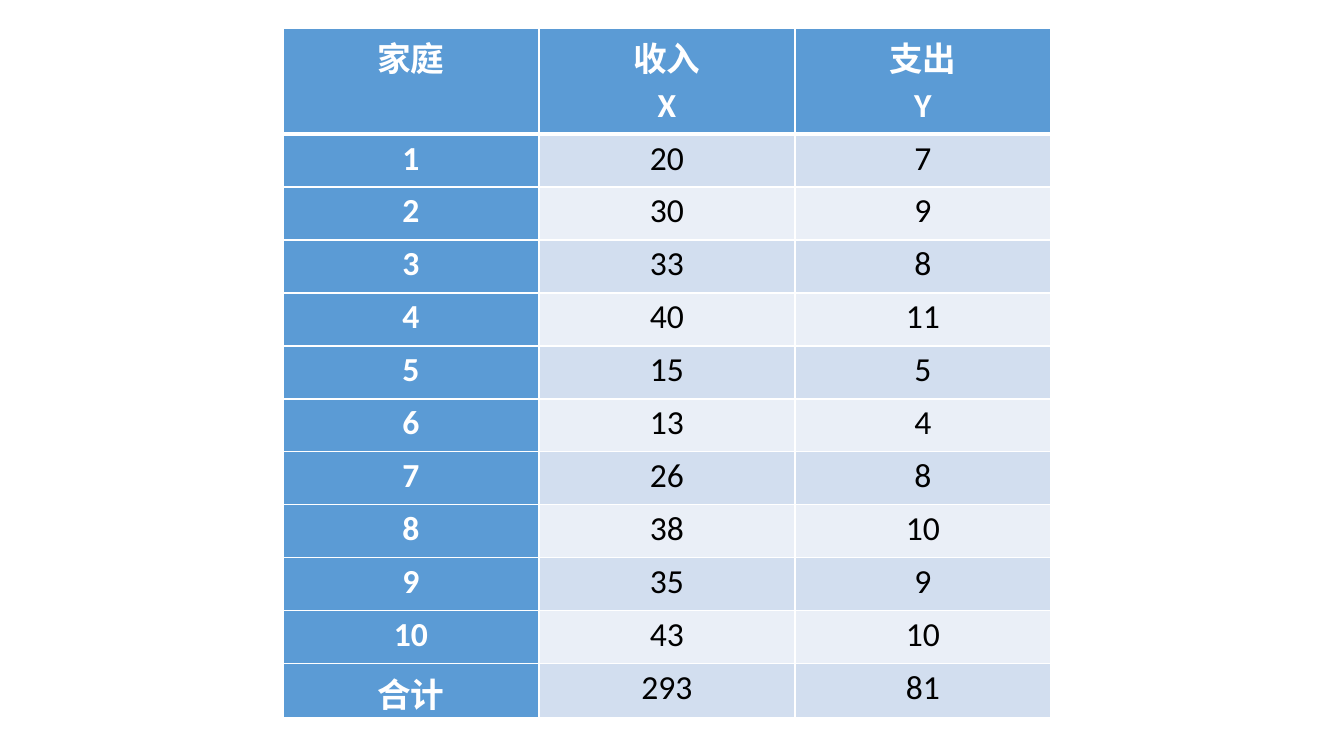
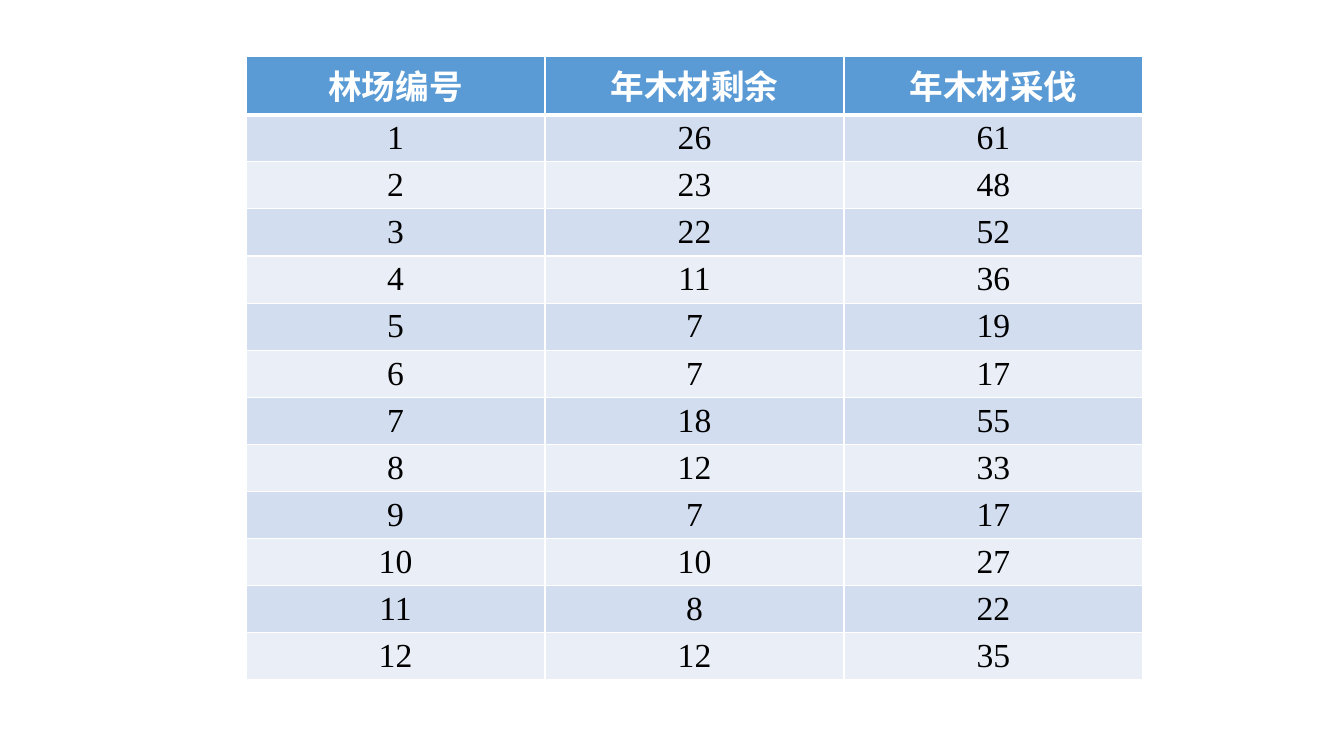
from dataclasses import dataclass

import lxml.etree
import pptx
import pptx.dml.color
import pptx.enum.lang
import pptx.enum.text
import pptx.oxml.ns
import pptx.presentation
import pptx.table
import pptx.util

# Scale and slide size
SLIDE_W, SLIDE_H = 1344, 756
EMU_PER_PX = 12192000 / SLIDE_W

# Shared table style
WHITE = pptx.dml.color.RGBColor(0xFF, 0xFF, 0xFF)
BLACK = pptx.dml.color.RGBColor(0x00, 0x00, 0x00)
BLUE = pptx.dml.color.RGBColor(0x5B, 0x9B, 0xD5)
BANDS = (
    pptx.dml.color.RGBColor(0xD2, 0xDE, 0xEF),
    pptx.dml.color.RGBColor(0xEA, 0xEF, 0xF7),
)
FONT_SIZE = pptx.util.Pt(24)
THIN, THICK = pptx.util.Pt(1), pptx.util.Pt(3)


@dataclass(frozen=True)
class DataTable:
    left: int
    top: int
    col_w: int
    header_h: int
    row_h: int
    margin_x: int
    margin_y: int
    font: str
    line_spacing: float
    first_col: bool
    header: tuple[str, ...]
    rows: tuple[tuple[str | int, ...], ...]


HOUSEHOLDS = DataTable(
    left=283, top=28, col_w=256, header_h=106, row_h=53,
    margin_x=7, margin_y=0, font="Calibri", line_spacing=1.1, first_col=True,
    header=("家庭", "收入\nX", "支出\nY"),
    rows=(
        (1, 20, 7), (2, 30, 9), (3, 33, 8), (4, 40, 11), (5, 15, 5),
        (6, 13, 4), (7, 26, 8), (8, 38, 10), (9, 35, 9), (10, 43, 10),
        ("合计", 293, 81),
    ),
)

FORESTS = DataTable(
    left=246, top=56, col_w=299, header_h=58, row_h=47,
    margin_x=10, margin_y=5, font="Times New Roman", line_spacing=1.0,
    first_col=False,
    header=("林场编号", "年木材剩余", "年木材采伐"),
    rows=(
        (1, 26, 61), (2, 23, 48), (3, 22, 52), (4, 11, 36),
        (5, 7, 19), (6, 7, 17), (7, 18, 55), (8, 12, 33),
        (9, 7, 17), (10, 10, 27), (11, 8, 22), (12, 12, 35),
    ),
)


def px(n: int) -> pptx.util.Emu:
    return pptx.util.Emu(round(n * EMU_PER_PX))


def set_borders(cell: pptx.table._Cell, row: int) -> None:
    """White rules, with a thick one between header and body."""
    widths = {
        "a:lnL": THIN,
        "a:lnR": THIN,
        "a:lnT": THICK if row == 1 else THIN,
        "a:lnB": THICK if row == 0 else THIN,
    }
    qn = pptx.oxml.ns.qn
    tc_pr = cell._tc.get_or_add_tcPr()
    for tag, width in widths.items():
        ln = lxml.etree.SubElement(tc_pr, qn(tag), w=str(width))
        fill = lxml.etree.SubElement(ln, qn("a:solidFill"))
        lxml.etree.SubElement(fill, qn("a:srgbClr"), val=str(WHITE))


def format_cell(cell: pptx.table._Cell, spec_: DataTable, row: int, col: int) -> None:
    is_head = row == 0 or (spec_.first_col and col == 0)
    cell.margin_left = cell.margin_right = px(spec_.margin_x)
    cell.margin_top = cell.margin_bottom = px(spec_.margin_y)
    set_borders(cell, row)
    cell.fill.solid()
    cell.fill.fore_color.rgb = BLUE if is_head else BANDS[(row - 1) % 2]
    for p in cell.text_frame.paragraphs:
        p.alignment = pptx.enum.text.PP_ALIGN.CENTER
        p.line_spacing = spec_.line_spacing
        for r in p.runs:
            r.font.name = spec_.font
            r.font.size = FONT_SIZE
            r.font.bold = is_head
            r.font.color.rgb = WHITE if is_head else BLACK
            r.font.language_id = pptx.enum.lang.MSO_LANGUAGE_ID.SIMPLIFIED_CHINESE


def add_table_slide(prs: pptx.presentation.Presentation, data: DataTable) -> None:
    s = prs.slides.add_slide(prs.slide_layouts.get_by_name("Blank"))
    rows = (data.header, *data.rows)
    cols = len(data.header)
    height = data.header_h + data.row_h * len(data.rows)
    table = s.shapes.add_table(
        len(rows), cols, px(data.left), px(data.top), px(data.col_w * cols), px(height)
    ).table
    table.first_col = data.first_col
    for column in table.columns:
        column.width = px(data.col_w)
    for i, values in enumerate(rows):
        table.rows[i].height = px(data.row_h if i else data.header_h)
        for j, value in enumerate(values):
            cell = table.cell(i, j)
            cell.text_frame.text = str(value)
            format_cell(cell, data, i, j)


def main() -> None:
    prs = pptx.Presentation()
    prs.slide_width, prs.slide_height = px(SLIDE_W), px(SLIDE_H)
    for data in (HOUSEHOLDS, FORESTS):
        add_table_slide(prs, data)
    prs.save("out.pptx")


if __name__ == "__main__":
    main()
